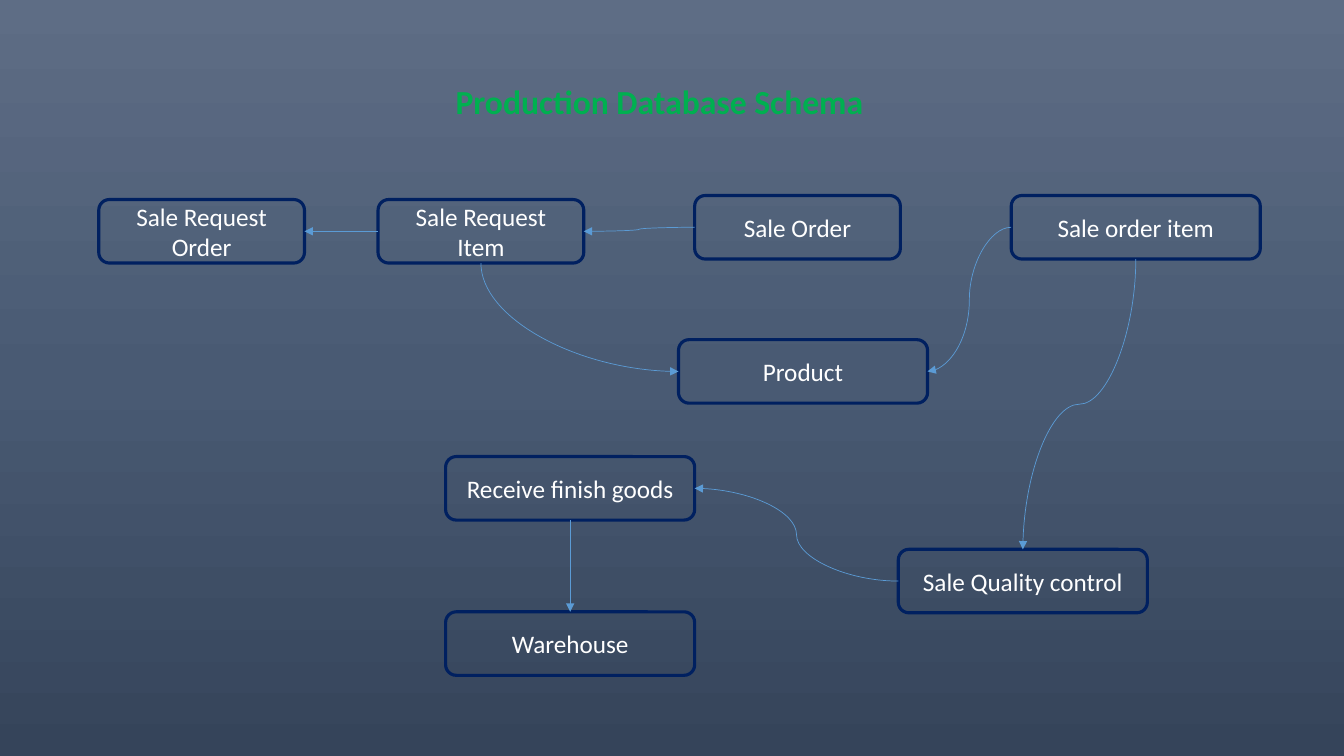
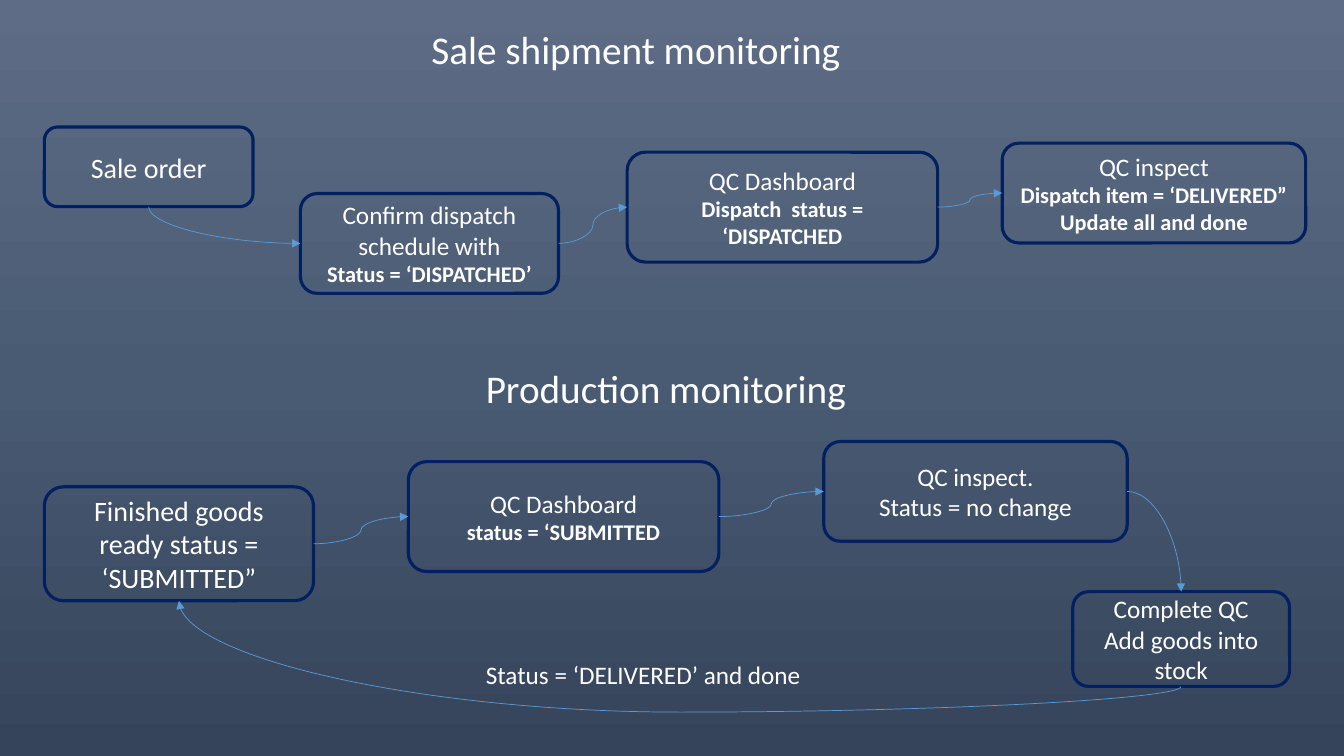
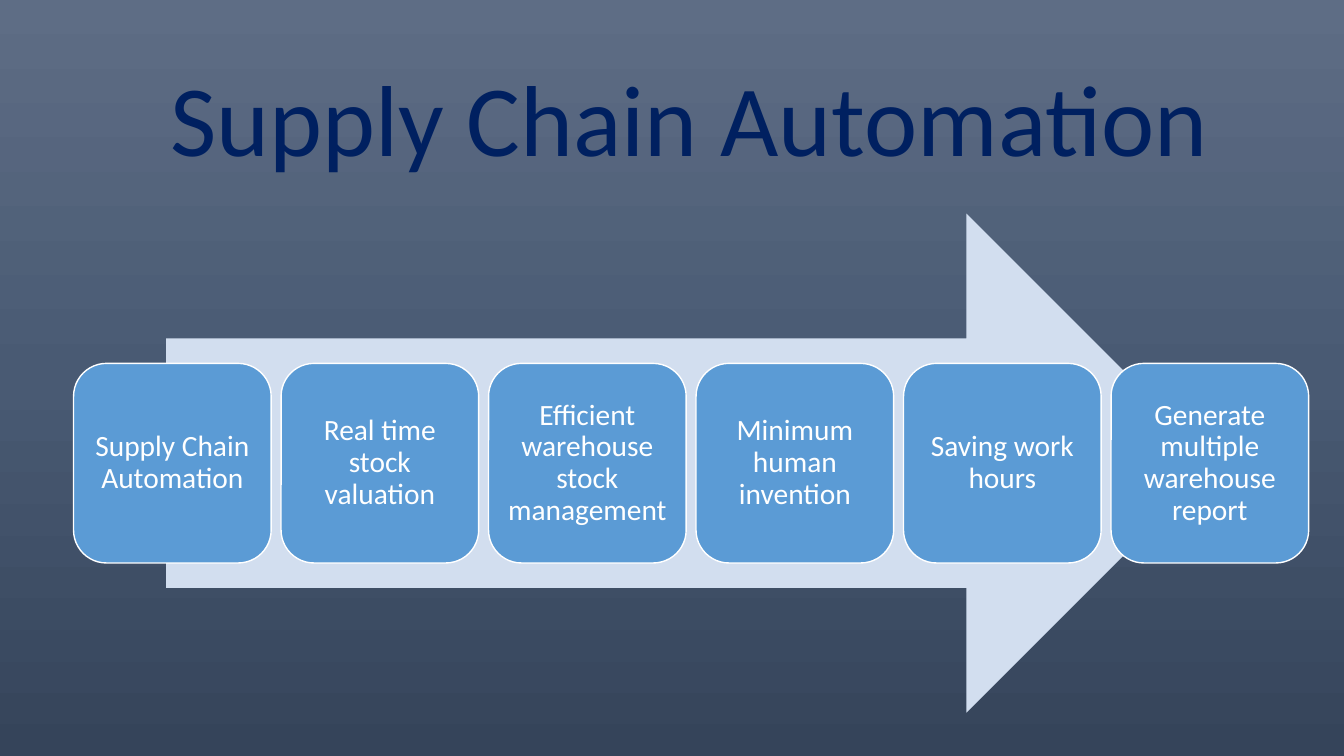
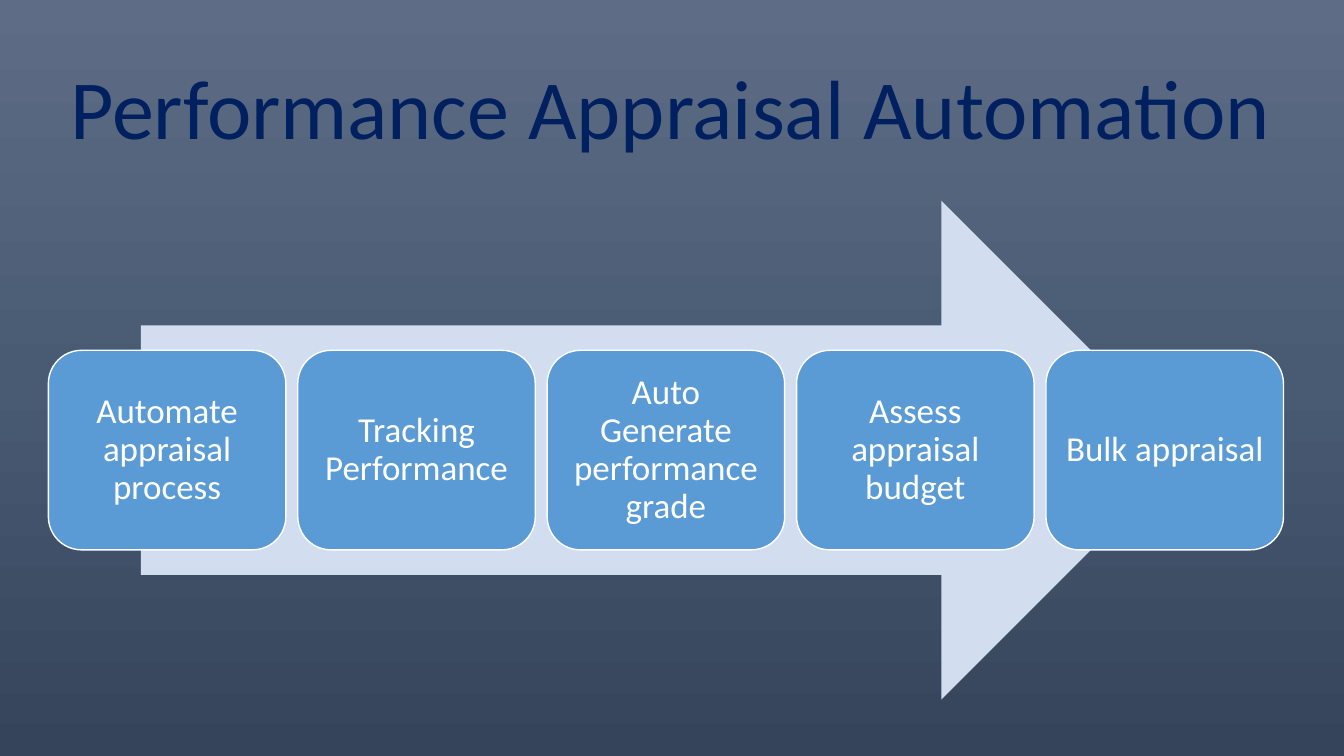
"""Build four slides: two process diagrams and two step arrows."""
import copy
from typing import NamedTuple

import pptx
import pptx.dml.color
import pptx.enum.shapes
import pptx.enum.text
import pptx.oxml
import pptx.oxml.ns
import pptx.presentation
import pptx.shapes.autoshape
import pptx.slide
import pptx.util
from pptx.util import Inches

FONT = "Calibri"
WHITE, NAVY, GREEN = "FFFFFF", "002060", "00B050"
BLUE, PALE_BLUE = "5B9BD5", "D2DEEF"
BACKGROUND = ((0, "5E6D85"), (0.5, "495A73"), (1, "35445A"))
TOP, LEFT, BOTTOM, RIGHT = range(4)
SHAPES = pptx.enum.shapes.MSO_SHAPE
CENTER = pptx.enum.text.PP_ALIGN.CENTER


class Line(NamedTuple):
    text: str
    size: float = 18
    bold: bool = False
    color: str = WHITE


class Box(NamedTuple):
    key: str
    left: float
    top: float
    width: float
    height: float
    lines: tuple[Line, ...]


class Curve(NamedTuple):
    start: str
    start_side: int
    end: str
    end_side: int
    bend: float | None = None


class Label(NamedTuple):
    left: float
    top: float
    width: float
    height: float
    line: Line


class StepArrow(NamedTuple):
    title: Label
    left: float
    top: float
    size: float
    inset: float
    steps: tuple[str, ...]


def rgb(value: str) -> pptx.dml.color.RGBColor:
    return pptx.dml.color.RGBColor.from_string(value)


def schema_box(key: str, left: float, top: float, width: float, text: str) -> Box:
    return Box(key, left, top, width, 0.63, (Line(text),))


SCHEMA_TITLE = Label(4.42, 0.75, 4.3, 0.5, Line("Production Database Schema", 24, True, GREEN))
SCHEMA_BOXES = (
    schema_box("request", 0.98, 1.98, 2.04, "Sale Request Order"),
    schema_box("request item", 3.75, 1.98, 2.04, "Sale Request Item"),
    schema_box("order", 6.89, 1.94, 2.04, "Sale Order"),
    schema_box("order item", 10.03, 1.94, 2.47, "Sale order item"),
    schema_box("quality", 8.91, 5.45, 2.47, "Sale Quality control"),
    schema_box("receive", 4.42, 4.53, 2.47, "Receive finish goods"),
    schema_box("product", 6.73, 3.37, 2.47, "Product"),
    schema_box("warehouse", 4.42, 6.07, 2.47, "Warehouse"),
)
SCHEMA_CURVES = (
    Curve("request item", LEFT, "request", RIGHT),
    Curve("receive", BOTTOM, "warehouse", TOP),
    Curve("order item", BOTTOM, "quality", TOP),
    Curve("quality", LEFT, "receive", RIGHT),
    Curve("request item", BOTTOM, "product", LEFT),
    Curve("order item", LEFT, "product", RIGHT),
    Curve("order", LEFT, "request item", RIGHT),
)

MONITORING_LABELS = (
    Label(4.18, 0.2, 4.67, 0.57, Line("Sale shipment monitoring", 28)),
    Label(4.72, 3.57, 4.14, 0.57, Line("Production monitoring", 28)),
    Label(4.72, 6.49, 3.6, 0.4, Line("Status = ‘DELIVERED’ and done")),
)
MONITORING_BOXES = (
    Box("order", 0.44, 1.26, 2.07, 0.79, (Line("Sale order", 20),)),
    Box("dashboard", 6.22, 1.51, 3.08, 1.09,
        (Line("QC Dashboard"), Line("Dispatch  status = ‘DISPATCHED", 16, True))),
    Box("inspect", 9.94, 1.42, 3.01, 0.99,
        (Line("QC inspect"), Line("Dispatch item = ‘DELIVERED”", 16, True),
         Line("Update all and done", 16, True))),
    Box("confirm", 2.98, 1.92, 2.56, 0.99,
        (Line("Confirm dispatch schedule with"), Line("Status = ‘DISPATCHED’", 16, True))),
    Box("finished", 0.44, 4.83, 2.67, 1.13,
        (Line("Finished goods ready status = ‘SUBMITTED”", 20),)),
    Box("goods dashboard", 4.05, 4.58, 3.08, 1.09,
        (Line("QC Dashboard"), Line("status = ‘SUBMITTED", 16, True))),
    Box("goods inspect", 8.17, 4.38, 3.01, 0.99,
        (Line("QC inspect."), Line("Status = no change"))),
    Box("complete", 10.64, 5.87, 2.15, 0.94,
        (Line("Complete QC"), Line("Add goods into stock"))),
)
MONITORING_CURVES = (
    Curve("confirm", RIGHT, "dashboard", LEFT),
    Curve("order", BOTTOM, "confirm", LEFT),
    Curve("dashboard", RIGHT, "inspect", LEFT),
    Curve("goods dashboard", RIGHT, "goods inspect", LEFT),
    Curve("finished", RIGHT, "goods dashboard", LEFT),
    Curve("goods inspect", RIGHT, "complete", TOP),
    Curve("complete", BOTTOM, "finished", BOTTOM, -0.3),
)

STEP_ARROWS = (
    StepArrow(
        Label(1.59, 0.5, 10.75, 1.3, Line("Supply Chain Automation", 72, color=NAVY)),
        0.73, 2.12, 21, 0.09,
        ("Supply Chain Automation", "Real time stock valuation",
         "Efficient warehouse stock management", "Minimum human invention",
         "Saving work hours", "Generate multiple warehouse report")),
    StepArrow(
        Label(0.6, 0.5, 12.54, 1.1, Line("Performance Appraisal Automation", 60, color=NAVY)),
        0.48, 1.99, 25, 0.1,
        ("Automate appraisal process", "Tracking Performance",
         "Auto Generate performance grade", "Assess appraisal budget", "Bulk appraisal")),
)


def set_background(master: pptx.slide.SlideMaster) -> None:
    fill = master.background.fill
    fill.gradient()
    fill.gradient_angle = 270
    stops = next(master.element.iter(pptx.oxml.ns.qn("a:gsLst")))
    stops.insert(1, copy.deepcopy(stops[0]))
    for stop, (position, color) in zip(fill.gradient_stops, BACKGROUND):
        stop.position = position
        stop.color.rgb = rgb(color)


def add_slide(prs: pptx.presentation.Presentation) -> pptx.slide.Slide:
    return prs.slides.add_slide(prs.slide_layouts[6])


def write(sp: pptx.shapes.autoshape.Shape, lines: tuple[Line, ...]) -> None:
    tf = sp.text_frame
    tf.word_wrap = True
    tf.text = "\n".join(line.text for line in lines)
    for p, line in zip(tf.paragraphs, lines):
        for r in p.runs:
            r.font.name = FONT
            r.font.size = pptx.util.Pt(line.size)
            r.font.bold = line.bold
            r.font.color.rgb = rgb(line.color)


def add_label(s: pptx.slide.Slide, label: Label) -> None:
    sp = s.shapes.add_textbox(Inches(label.left), Inches(label.top),
                              Inches(label.width), Inches(label.height))
    write(sp, (label.line,))


def add_shape(s: pptx.slide.Slide, kind: SHAPES, left: float, top: float,
              width: float, height: float, fill: str | None = None,
              line: str | None = None, weight: float = 1) -> pptx.shapes.autoshape.Shape:
    sp = s.shapes.add_shape(kind, Inches(left), Inches(top), Inches(width), Inches(height))
    sp.shadow.inherit = False
    for part, color in ((sp.fill, fill), (sp.line.fill, line)):
        if color:
            part.solid()
            part.fore_color.rgb = rgb(color)
        else:
            part.background()
    if line:
        sp.line.width = pptx.util.Pt(weight)
    return sp


def add_box(s: pptx.slide.Slide, box: Box) -> pptx.shapes.autoshape.Shape:
    sp = add_shape(s, SHAPES.ROUNDED_RECTANGLE, box.left, box.top, box.width, box.height,
                   line=NAVY, weight=2.25)
    write(sp, box.lines)
    for p in sp.text_frame.paragraphs:
        p.alignment = CENTER
    return sp


def add_curve(s: pptx.slide.Slide, curve: Curve,
              boxes: dict[str, pptx.shapes.autoshape.Shape]) -> None:
    cxn = s.shapes.add_connector(pptx.enum.shapes.MSO_CONNECTOR.CURVE, 0, 0, 0, 0)
    cxn.begin_connect(boxes[curve.start], curve.start_side)
    cxn.end_connect(boxes[curve.end], curve.end_side)
    if curve.start_side in (TOP, BOTTOM):
        dx, dy = cxn.end_x - cxn.begin_x, cxn.end_y - cxn.begin_y
        mid_x, mid_y = cxn.begin_x + dx // 2, cxn.begin_y + dy // 2
        cxn.begin_x, cxn.begin_y = mid_x - dy // 2, mid_y + dx // 2
        cxn.end_x, cxn.end_y = mid_x + dy // 2, mid_y - dx // 2
        cxn.rotation = 90
    cxn.line.color.rgb = rgb(BLUE)
    cxn.line.width = pptx.util.Pt(0.5)
    qn = pptx.oxml.ns.qn
    props = cxn.element.find(qn("p:spPr"))
    geometry = props.find(qn("a:prstGeom"))
    if curve.start_side % 2 != curve.end_side % 2:
        geometry.set("prst", "curvedConnector2")
    if curve.bend is not None:
        guide = geometry.find(qn("a:avLst")).makeelement(
            qn("a:gd"), {"name": "adj1", "fmla": f"val {round(curve.bend * 100000)}"})
        geometry.find(qn("a:avLst")).append(guide)
    ln = props.find(qn("a:ln"))
    ln.append(ln.makeelement(qn("a:tailEnd"), {"type": "triangle"}))
    props.append(props.makeelement(qn("a:effectLst"), {}))


def add_diagram(prs: pptx.presentation.Presentation, labels: tuple[Label, ...],
                boxes: tuple[Box, ...], curves: tuple[Curve, ...]) -> None:
    s = add_slide(prs)
    drawn = {box.key: add_box(s, box) for box in boxes}
    for curve in curves:
        add_curve(s, curve, drawn)
    for label in labels:
        add_label(s, label)


def add_step_arrow(prs: pptx.presentation.Presentation, arrow: StepArrow) -> None:
    s = add_slide(prs)
    span, height, gap = 12.25, 4.95, 0.05
    count = len(arrow.steps)
    width = span / (count + gap * (count - 1))
    add_shape(s, SHAPES.RIGHT_ARROW, arrow.left + 0.075 * span, arrow.top,
              0.85 * span, height, PALE_BLUE)
    for i, text in enumerate(arrow.steps):
        sp = add_shape(s, SHAPES.ROUNDED_RECTANGLE, arrow.left + i * width * (1 + gap),
                       arrow.top + 0.3 * height, width, 0.4 * height, BLUE, WHITE)
        write(sp, (Line(text, arrow.size),))
        tf = sp.text_frame
        tf.margin_left = tf.margin_right = Inches(arrow.inset)
        tf.margin_top = tf.margin_bottom = Inches(arrow.inset)
        tf.paragraphs[0].alignment = CENTER
        tf.paragraphs[0].line_spacing = 0.9
    add_label(s, arrow.title)


def main() -> None:
    prs = pptx.Presentation()
    prs.slide_width, prs.slide_height = Inches(13.33), Inches(7.5)
    set_background(prs.slide_master)
    add_diagram(prs, (SCHEMA_TITLE,), SCHEMA_BOXES, SCHEMA_CURVES)
    add_diagram(prs, MONITORING_LABELS, MONITORING_BOXES, MONITORING_CURVES)
    for arrow in STEP_ARROWS:
        add_step_arrow(prs, arrow)
    prs.save("out.pptx")


if __name__ == "__main__":
    main()
